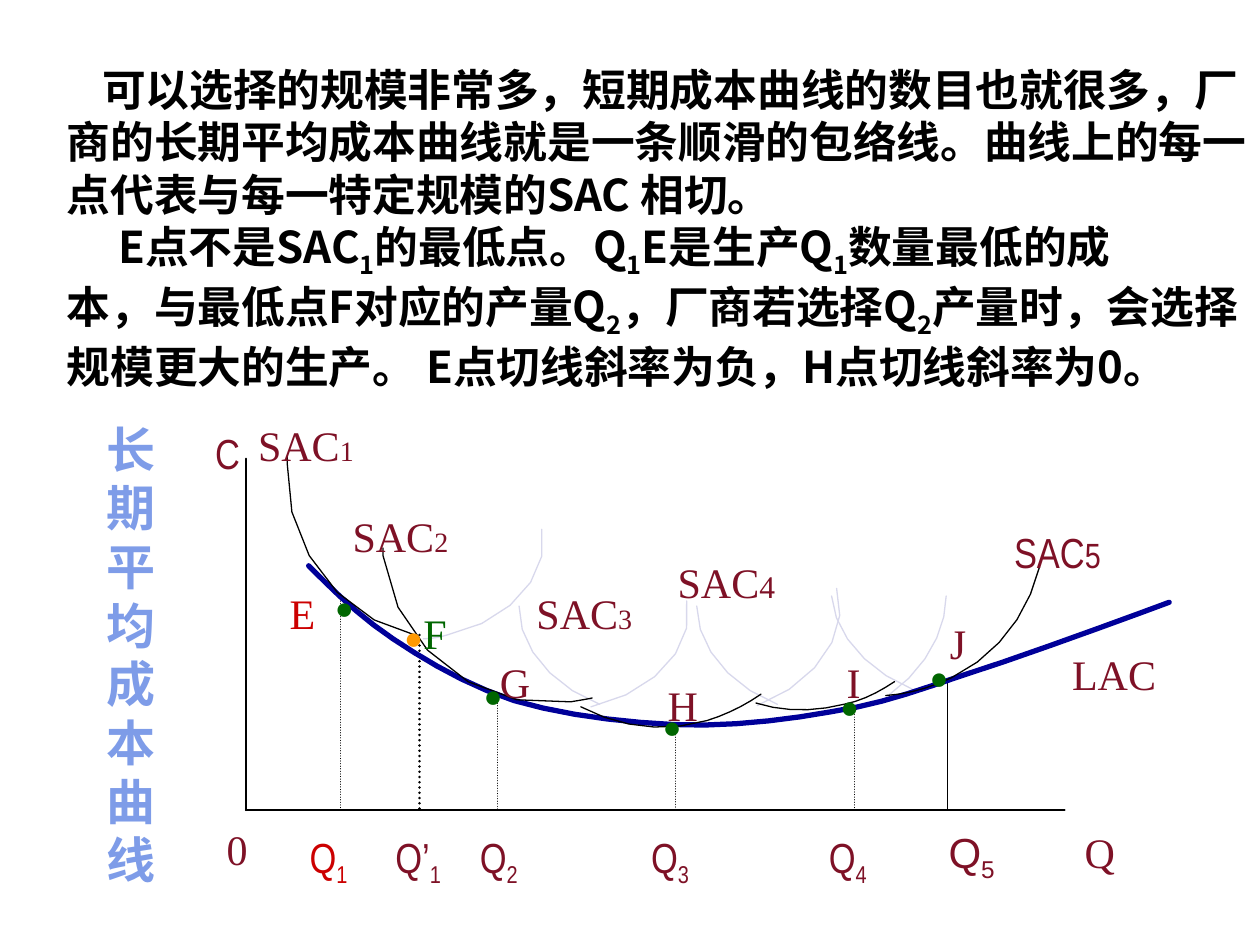
from lxml import etree
from pptx import Presentation
from pptx.dml.color import RGBColor
from pptx.enum.dml import MSO_LINE
from pptx.enum.shapes import MSO_CONNECTOR
from pptx.enum.text import MSO_ANCHOR, MSO_AUTO_SIZE, PP_ALIGN
from pptx.oxml.ns import qn
from pptx.util import Pt

PX = 9144  # 100 px to the inch
STRAIGHT = MSO_CONNECTOR.STRAIGHT
DOTTED = MSO_LINE.ROUND_DOT
BOTTOM, TOP = MSO_ANCHOR.BOTTOM, MSO_ANCHOR.TOP
LEFT = PP_ALIGN.LEFT
NO_FIT = MSO_AUTO_SIZE.NONE

SERIF, SANS, NARROW, CJK = "Times New Roman", "Arial", "Arial Narrow", "Noto Sans CJK SC"
BLACK, PALE, NAVY = "000000", "D8D8EC", "000099"
WINE, RED, GREEN, ORANGE, SKY = "7E1126", "CC0000", "006600", "FF9900", "7E9CE8"

# Paragraphs: first-line indent, then the lines that end in a forced break
EXPLANATION = [
    (28, ["可以选择的规模非常多，短期成本曲线的数目也就很多，厂商的长期平均成本曲线就是一条"
          "顺滑的包络线。曲线上的每一点代表与每一特定规模的SAC 相切。"]),
    (41, ["E点不是SAC|1|的最低点。Q|1|E是生产Q|1|数量最低的成",
          "本，与最低点F对应的产量Q|2|，厂商若选择Q|2|产量时，会选择规模更大的生产。 "
          "E点切线斜率为负，H点切线斜率为0。"]),
]

# Curves: start point, then three points for each cubic segment
LAC = [(145, 149), (165, 169), (185, 189), (212, 207), (239, 225), (271, 244), (308, 256),
       (345, 267), (392, 273), (434, 275), (475, 277), (520, 272), (559, 265),
       (597, 259), (620, 251), (664, 236), (709, 222), (801, 188), (828, 178)]
SHORT_RUN = [
    [(232, 205), (170, 192), (125, 134), (128, 68), (128, 66), (128, 64), (128, 62)],
    [(370, 254), (365, 255), (359, 256), (353, 257), (280, 266), (213, 214), (204, 141),
     (204, 139), (204, 137), (204, 135)],
    [(504, 251), (491, 260), (477, 267), (461, 272), (426, 282), (391, 277), (361, 261)],
    [(610, 241), (598, 249), (585, 256), (570, 259), (546, 265), (522, 265), (500, 258)],
    [(725, 150), (716, 187), (692, 220), (655, 238), (638, 246), (620, 251), (603, 252)],
]
PALE_ARCS = [
    [(501, 260), (547, 243), (576, 202), (564, 167)],
    [(312, 181), (311, 212), (337, 244), (376, 259)],
    [(236, 207), (242, 207), (248, 206), (255, 204), (304, 194), (338, 156), (330, 120)],
    [(369, 261), (419, 250), (453, 213), (445, 177)],
    [(605, 252), (635, 231), (651, 200), (651, 173)],
    [(453, 181), (453, 212), (478, 244), (517, 259)],
    [(560, 173), (562, 202), (587, 232), (624, 247)],
]
# Output drops: x, top, line width, dash
DROPS = [(170, 173, 0.75, DOTTED), (233, 204, 1.5, DOTTED), (295, 252, 0.75, DOTTED),
         (436, 277, 0.75, DOTTED), (578, 261, 0.75, DOTTED), (652, 240, 0.75, None)]
# Labels: text, left, top, width, font, colour, size of the small figure
LABELS = [
    ("0", 70, 349, 36, SERIF, WINE, None), ("C", 61, 34, 50, NARROW, WINE, None),
    ("LAC", 741, 210, 92, SERIF, WINE, None),
    ("SAC|1|", 95, 28, 96, SERIF, WINE, 16), ("SAC|2|", 170, 100, 96, SERIF, WINE, 16),
    ("SAC|3|", 316, 161, 96, SERIF, WINE, 16), ("SAC|4|", 428, 137, 97, SERIF, WINE, 18),
    ("SAC|5|", 695, 113, 133, NARROW, WINE, 20),
    ("E", 120, 161, 40, SERIF, RED, None), ("G", 287, 216, 44, SERIF, WINE, None),
    ("H", 420, 234, 44, SERIF, WINE, None), ("I", 562, 216, 31, SERIF, WINE, None),
    ("J", 644, 185, 55, SERIF, WINE, None),
]
OUTPUT_TABS = [68, 135, 271, 412]
TANGENT_DOTS = [(156, 162), (274, 232), (416, 256), (557, 240), (628, 217)]


def colour(hex_code):
    return RGBColor.from_string(hex_code)


def apply(target, values):
    for attribute, value in values.items():
        setattr(target, attribute, value)


def write(paragraph, text, font, size, ink, bold=False, small=None):
    """Add runs; parts between bars are set small, or as subscripts."""
    for i, part in enumerate(text.split("|")):
        if not part:
            continue
        lowered = i % 2 == 1
        run = paragraph.add_run()
        run.text = part
        run.font.color.rgb = colour(ink)
        apply(run.font, {"size": Pt(small if lowered and small else size),
                         "bold": bold, "name": font})
        properties = run._r.get_or_add_rPr()
        etree.SubElement(properties, qn("a:ea")).set("typeface", CJK)
        if lowered and not small:
            properties.set("baseline", "-25000")


def add_label(slide, left, top, width, height, wrap=False, tabs=()):
    box = slide.shapes.add_textbox(left * PX, top * PX, width * PX, height * PX)
    apply(box.text_frame, {"word_wrap": wrap, "vertical_anchor": TOP})
    paragraph = box.text_frame.paragraphs[0]
    if tabs:
        stops = etree.SubElement(paragraph._p.get_or_add_pPr(), qn("a:tabLst"))
        for position in tabs:
            etree.SubElement(stops, qn("a:tab"), pos=str(position * PX), algn="l")
    return paragraph


def format_line(shape, ink, width, dash=None):
    shape.line.color.rgb = colour(ink)
    apply(shape.line, {"width": Pt(width), "dash_style": dash})
    shape._element.spPr.find(qn("a:ln")).set("cap", "rnd")


def add_line(slide, x1, y1, x2, y2, width, dash=None):
    line = slide.shapes.add_connector(STRAIGHT, x1 * PX, y1 * PX, x2 * PX, y2 * PX)
    format_line(line, BLACK, width, dash)
    etree.SubElement(line._element.spPr, qn("a:effectLst"))


def sample(knots, steps=5):
    """Points along a chain of cubic Bezier segments."""
    points = [knots[0]]
    for i in range(0, len(knots) - 1, 3):
        for step in range(1, steps + 1):
            t = step / steps
            weights = ((1 - t) ** 3, 3 * t * (1 - t) ** 2, 3 * t * t * (1 - t), t ** 3)
            points.append(tuple(sum(w * knot[axis] for w, knot in zip(weights, knots[i:i + 4]))
                                for axis in (0, 1)))
    return points


def add_curve(slide, left, top, knots, ink, width):
    points = [(round((left + x) * PX), round((top + y) * PX)) for x, y in sample(knots)]
    builder = slide.shapes.build_freeform(*points[0])
    builder.add_line_segments(points[1:], close=False)
    curve = builder.convert_to_shape()
    curve.shadow.inherit = False
    curve.fill.background()
    format_line(curve, ink, width)


def add_explanation(slide, left, top, width, height):
    title = slide.shapes.title
    apply(title, {"left": left * PX, "top": top * PX,
                  "width": width * PX, "height": height * PX})
    frame = title.text_frame
    apply(frame, {"word_wrap": True, "auto_size": NO_FIT, "vertical_anchor": BOTTOM})
    for i, (indent, lines) in enumerate(EXPLANATION):
        paragraph = frame.add_paragraph() if i else frame.paragraphs[0]
        paragraph.alignment = LEFT
        paragraph._p.get_or_add_pPr().set("indent", str(indent * PX))
        for j, line in enumerate(lines):
            if j:
                paragraph.add_line_break()
            write(paragraph, line, CJK, 25, BLACK, bold=True)


def add_side_heading(slide, left, top, width, height):
    heading = add_label(slide, left, top, width, height, wrap=True)
    heading.line_spacing = Pt(33.5)
    write(heading, "长期平均成本曲线", SANS, 28, SKY, bold=True)


def add_cost_diagram(slide, left, top, width, height):
    # Axes and output drops
    origin_x, axis_y = left + 95, top + height - 107
    add_line(slide, origin_x, top + 64, origin_x, axis_y, 1)
    add_line(slide, origin_x, axis_y, left + width - 105, axis_y, 1)
    for x, y, weight, dash in DROPS:
        add_line(slide, left + x, top + y, left + x, axis_y, weight, dash)
    # Cost curves
    for curves, ink, weight in ((PALE_ARCS, PALE, 0.75), ([LAC], NAVY, 3),
                                (SHORT_RUN, BLACK, 0.75)):
        for knots in curves:
            add_curve(slide, left, top, knots, ink, weight)
    # Labels
    for text, x, y, label_width, font, ink, small in LABELS:
        write(add_label(slide, left + x, top + y, label_width, 50), text, font, 24, ink,
              small=small)
    # Output levels along the axis
    outputs = add_label(slide, left + 136, top + 355, 483, 96, wrap=True, tabs=OUTPUT_TABS)
    write(outputs, "Q|1|", NARROW, 24, RED)
    write(outputs, "\tQ’|1|\tQ|2|\tQ|3|\tQ|4|", NARROW, 24, WINE)
    axis_end = add_label(slide, left + 643, top + 351, 160, 56, wrap=True, tabs=[108])
    write(axis_end, "Q|5|", SANS, 24, WINE)
    write(axis_end, "\tQ", SERIF, 24, WINE)
    # Points on the curves
    for x, y in TANGENT_DOTS:
        write(add_label(slide, left + x, top + y, 45, 40), "●", SANS, 18, GREEN)
    lowest_point = add_label(slide, left + 211, top + 177, 79, 50)
    write(lowest_point, "●", SANS, 18, ORANGE)
    write(lowest_point, "F", SERIF, 24, GREEN)


def main():
    deck = Presentation()
    apply(deck, {"slide_width": 1000 * PX, "slide_height": 750 * PX})
    slide = deck.slides.add_slide(deck.slide_layouts[5])
    add_explanation(slide, 43, 68, 957, 248)
    add_side_heading(slide, 75, 328, 67, 384)
    add_cost_diagram(slide, 100, 300, 850, 450)
    deck.save("out.pptx")


if __name__ == "__main__":
    main()
